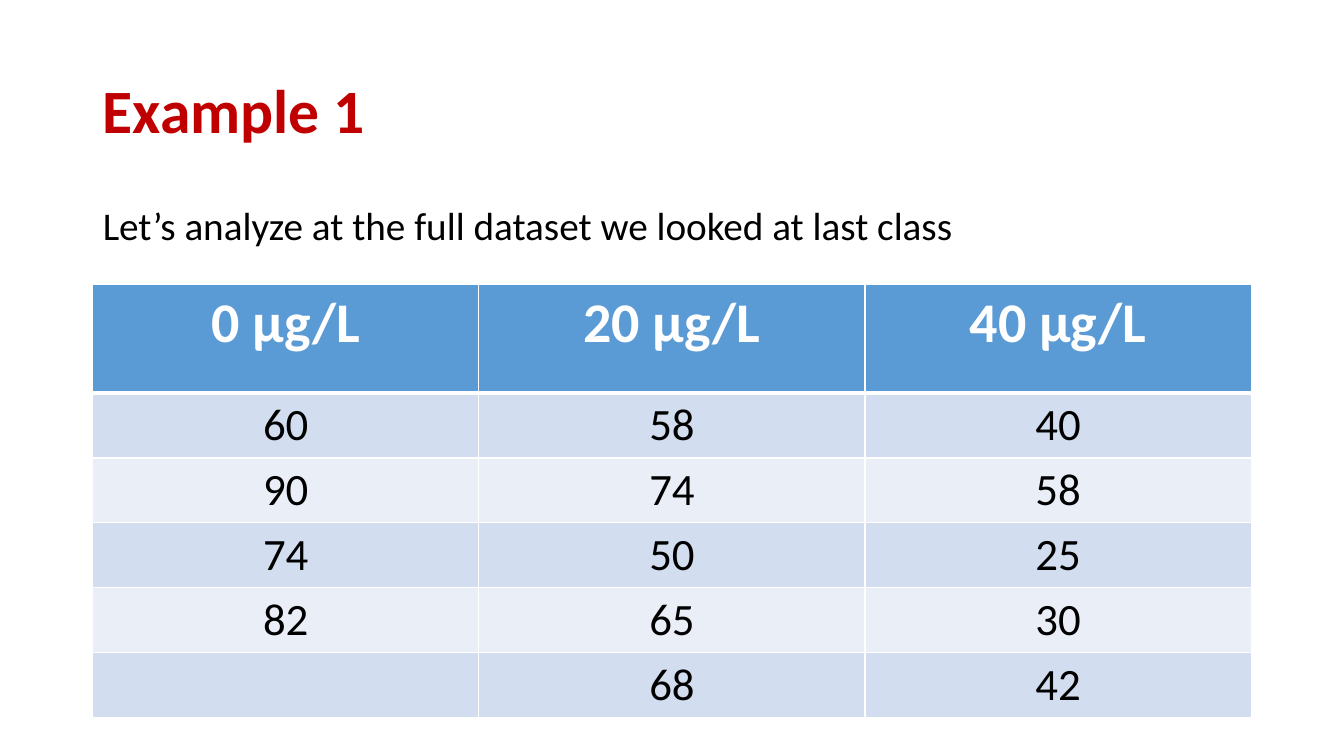
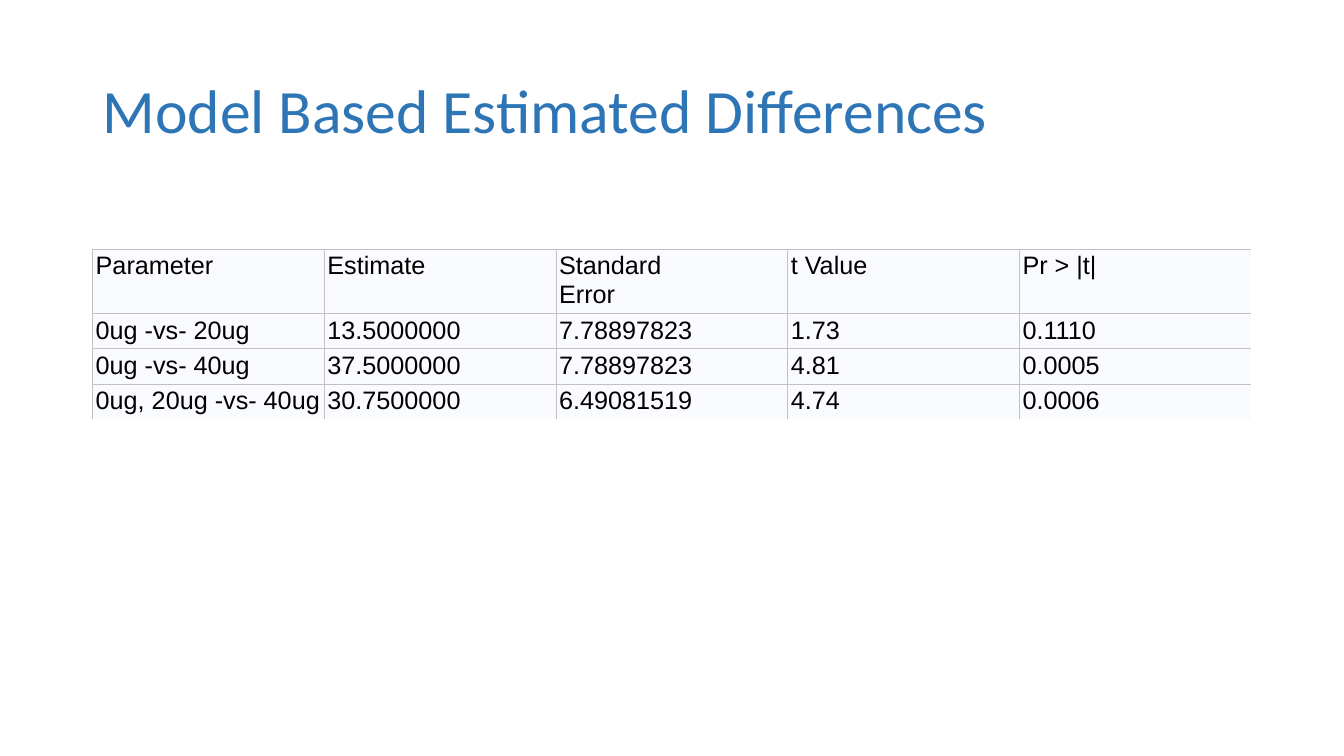
from dataclasses import dataclass

import pptx
import pptx.dml.color
import pptx.enum.text
import pptx.oxml
import pptx.oxml.ns
import pptx.util

ALIGN = pptx.enum.text.PP_ALIGN
ANCHOR = pptx.enum.text.MSO_ANCHOR


@dataclass(frozen=True)
class Theme:
    """Colours, type and grid shared by all slides."""
    font: str = "Calibri"
    output_font: str = "Arial"
    ink: str = "000000"
    paper: str = "FFFFFF"
    example: str = "C00000"
    model: str = "2E75B6"
    header: str = "5B9BD5"
    bands: tuple = ("D2DEEF", "EAEFF7")
    output_fill: str = "FAFBFE"
    output_line: str = "C1C1C1"
    title_size: int = 44
    header_size: int = 40
    data_size: int = 32
    body_size: int = 28
    output_size: int = 18
    columns: int = 29
    rows: int = 75
    left: int = 2
    span: int = 25


THEME = Theme()


@dataclass(frozen=True)
class TableLook:
    """How one kind of table is filled, lettered and ruled."""
    font: str
    sizes: tuple
    header_ink: str
    header_fill: str
    bands: tuple
    align: ALIGN
    line: str
    line_width: float
    header_rule: float
    heights: tuple
    inset: float = None
    open_end: bool = False


DATASET = TableLook(THEME.font, (THEME.header_size, THEME.data_size), THEME.paper,
                    THEME.header, THEME.bands, ALIGN.CENTER, THEME.paper, 1, 3,
                    heights=(10.8, 6.44))
OUTPUT = TableLook(THEME.output_font, (THEME.output_size,) * 2, THEME.ink,
                   THEME.output_fill, (THEME.output_fill,), ALIGN.LEFT,
                   THEME.output_line, 0.5, 0.5, heights=(6.4, 3.5),
                   inset=0.03, open_end=True)


class Deck:
    """Holds the presentation, its theme and the current slide."""

    def __init__(self, theme):
        """Start a wide presentation."""
        self.theme = theme
        self.show = pptx.Presentation()
        self.show.slide_width = pptx.util.Inches(13.33)
        self.show.slide_height = pptx.util.Inches(7.5)
        self.slide = None

    def x(self, columns):
        """Turn grid columns into a length."""
        return round(self.show.slide_width * columns / self.theme.columns)

    def y(self, rows):
        """Turn grid rows into a length."""
        return round(self.show.slide_height * rows / self.theme.rows)

    def box(self, top, height):
        """Give the full-span box between the side margins."""
        return self.x(self.theme.left), self.y(top), self.x(self.theme.span), self.y(height)

    def style(self, paragraph, font, size, color, bold=False, align=ALIGN.LEFT):
        """Format a paragraph and all its runs."""
        paragraph.alignment = align
        for run in paragraph.runs:
            run.font.name = font
            run.font.size = pptx.util.Pt(size)
            run.font.bold = bold
            run.font.color.rgb = pptx.dml.color.RGBColor.from_string(color)

    def fill_placeholder(self, holder, words, top, height, anchor, size, color, bold=False):
        """Place and letter a template placeholder."""
        holder.left, holder.top, holder.width, holder.height = self.box(top, height)
        frame = holder.text_frame
        frame.text = words
        frame.word_wrap = True
        frame.auto_size = pptx.enum.text.MSO_AUTO_SIZE.NONE
        frame.vertical_anchor = anchor
        paragraph = frame.paragraphs[0]
        paragraph.line_spacing = 0.9
        self.style(paragraph, self.theme.font, size, color, bold)
        return paragraph

    def new_slide(self, layout, title, color, bold=False):
        """Add a slide with its title."""
        self.slide = self.show.slides.add_slide(self.show.slide_layouts[layout])
        self.fill_placeholder(self.slide.shapes.title, title, 4, 14.5, ANCHOR.MIDDLE,
                              self.theme.title_size, color, bold)

    def body(self, words):
        """Fill the body placeholder with an unbulleted line."""
        lead = self.fill_placeholder(self.slide.placeholders[1], words, 20, 47.6,
                                     ANCHOR.TOP, self.theme.body_size, self.theme.ink)
        lead.space_before = pptx.util.Pt(10)
        properties = lead._p.get_or_add_pPr()
        properties.set("marL", "0")
        properties.set("indent", "0")
        properties.append(pptx.oxml.parse_xml(
            f'<a:buNone {pptx.oxml.ns.nsdecls("a")}/>'))

    def border(self, cell, side, color, width):
        """Rule one side of a cell; a width of 0 leaves it open."""
        paint = f'<a:solidFill><a:srgbClr val="{color}"/></a:solidFill>' if width else "<a:noFill/>"
        cell._tc.get_or_add_tcPr().append(pptx.oxml.parse_xml(
            f'<a:ln{side} {pptx.oxml.ns.nsdecls("a")} w="{pptx.util.Pt(width)}">{paint}</a:ln{side}>'))

    def table(self, top, records, look):
        """Add a table whose first record is the header."""
        last_row, last_column = len(records) - 1, len(records[0]) - 1
        height = look.heights[0] + look.heights[1] * last_row
        table = self.slide.shapes.add_table(
            last_row + 1, last_column + 1, *self.box(top, height)).table
        table.first_row = table.horz_banding = False
        for r, record in enumerate(records):
            table.rows[r].height = self.y(look.heights[min(r, 1)])
            for c, value in enumerate(record):
                widths = {"L": look.line_width, "R": look.line_width,
                          "T": look.header_rule if r == 1 else look.line_width,
                          "B": look.header_rule if r == 0 else look.line_width}
                if look.open_end and c == last_column:
                    widths["R"] = 0
                if look.open_end and r == last_row:
                    widths["B"] = 0
                self.cell(table.cell(r, c), value, r, look, widths)

    def cell(self, cell, value, row, look, widths):
        """Letter, rule and fill one table cell."""
        header = row == 0
        cell.text = value
        if look.inset is not None:
            cell.margin_left = cell.margin_right = pptx.util.Inches(look.inset)
            cell.margin_top = cell.margin_bottom = pptx.util.Inches(look.inset)
        self.style(cell.text_frame.paragraphs[0], look.font, look.sizes[min(row, 1)],
                   look.header_ink if header else self.theme.ink,
                   header and look is DATASET, look.align)
        for side, width in widths.items():
            self.border(cell, side, look.line, width)
        band = look.header_fill if header else look.bands[(row - 1) % len(look.bands)]
        cell.fill.solid()
        cell.fill.fore_color.rgb = pptx.dml.color.RGBColor.from_string(band)


def main():
    """Build and save both slides."""
    deck = Deck(THEME)

    deck.new_slide(1, "Example 1", THEME.example, bold=True)
    deck.body("Let’s analyze at the full dataset we looked at last class")
    deck.table(28.2, [
        ("0 μg/L", "20 μg/L", "40 μg/L"),
        ("60", "58", "40"),
        ("90", "74", "58"),
        ("74", "50", "25"),
        ("82", "65", "30"),
        ("", "68", "42"),
    ], DATASET)

    deck.new_slide(5, "Model Based Estimated Differences", THEME.model)
    deck.table(24.7, [
        ("Parameter", "Estimate", "Standard\vError", "t\u00a0Value", "Pr\u00a0>\u00a0|t|"),
        ("0ug -vs- 20ug", "13.5000000", "7.78897823", "1.73", "0.1110"),
        ("0ug -vs- 40ug", "37.5000000", "7.78897823", "4.81", "0.0005"),
        ("0ug, 20ug -vs- 40ug", "30.7500000", "6.49081519", "4.74", "0.0006"),
    ], OUTPUT)

    deck.show.save("out.pptx")


main()
